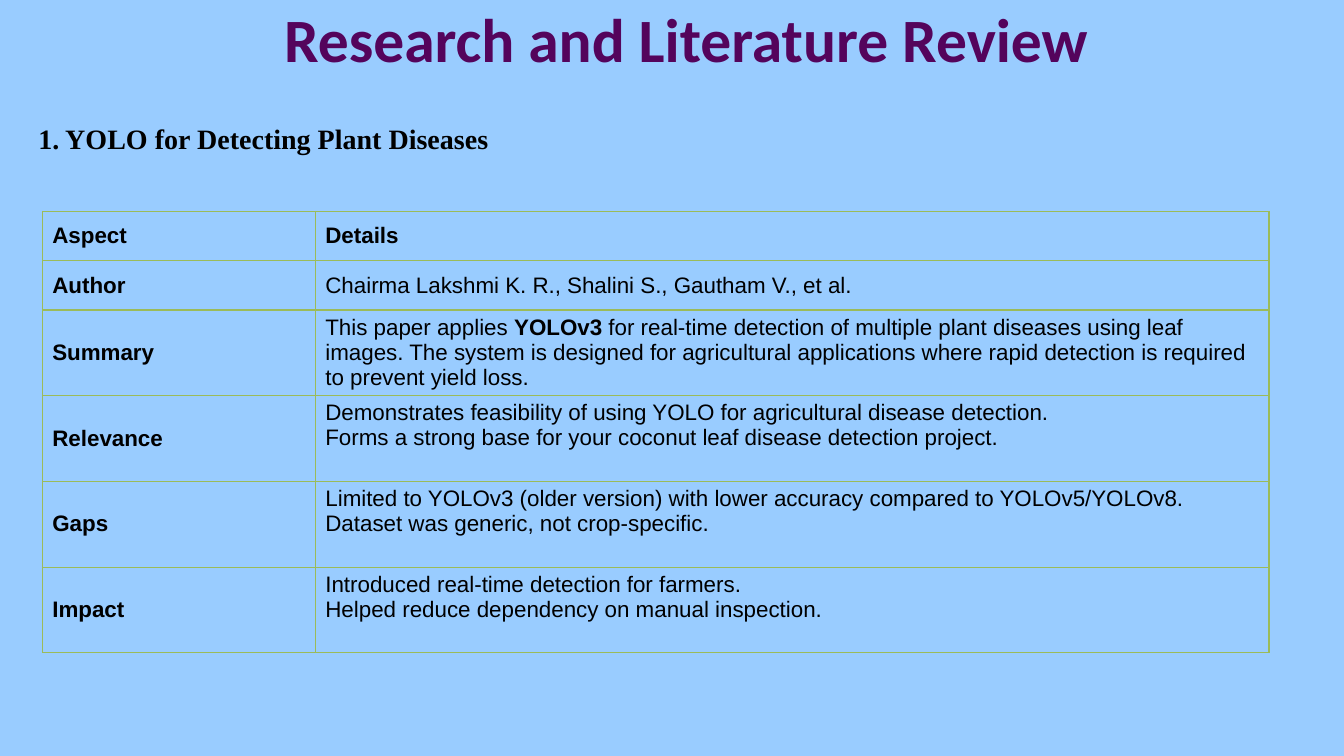
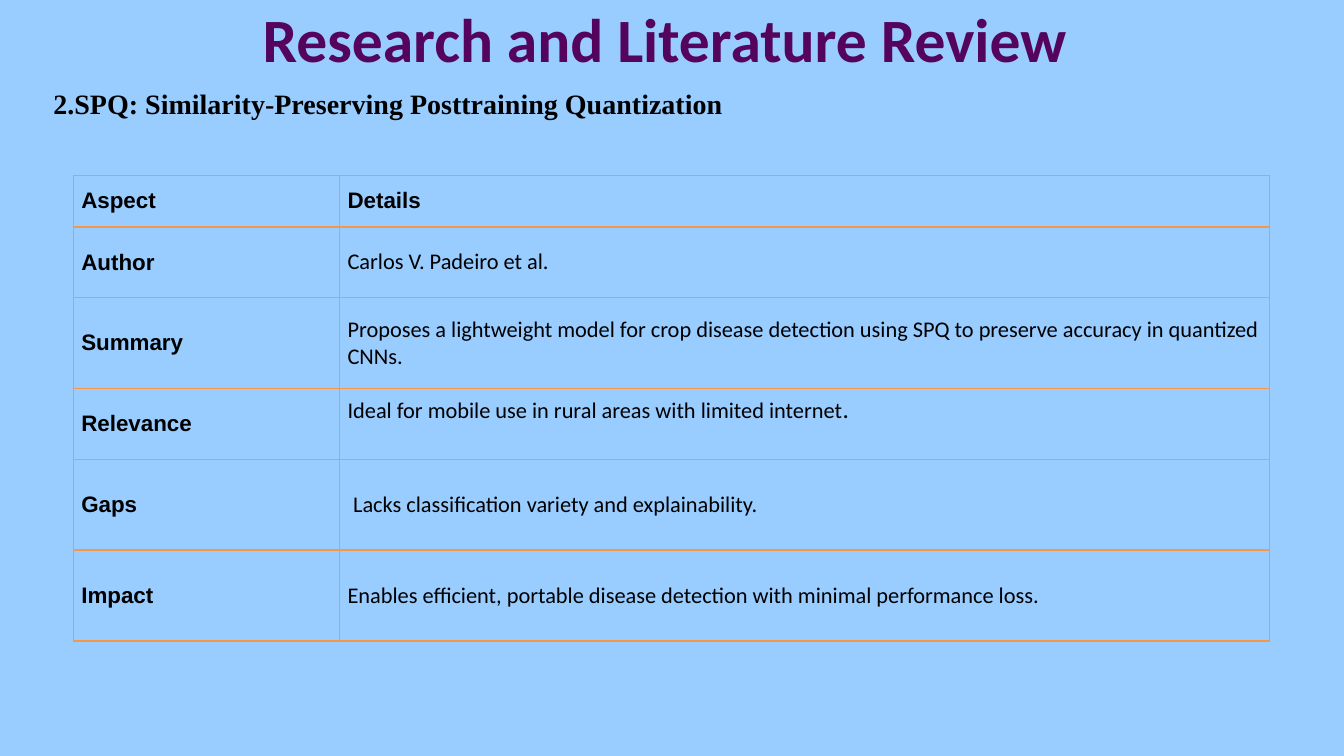
from pptx import Presentation
from pptx.dml.color import RGBColor as Rgb
from pptx.enum.text import MSO_ANCHOR as Anchor, MSO_AUTO_SIZE as Fit, PP_ALIGN as Align
from pptx.oxml import parse_xml
from pptx.oxml.ns import nsdecls
from pptx.util import Cm, Pt


class Theme:
    back = "99CCFF"
    title = dict(name="Calibri", size=44, color="54045C", bold=True)
    topic = dict(name="Times New Roman", size=20, color="000000", bold=True)
    label = dict(name="Arial", size=16, color="000000", bold=True)
    value = dict(label, bold=False)
    edge = 1


TITLE = "Research and Literature Review"
HEAD = ("Aspect", "Details")

# A value is a list of paragraphs; a paragraph is a text or a list of (text, format) runs.
# All lengths are in centimetres.
REVIEWS = [
    dict(
        topic="1. YOLO for Detecting Plant Diseases",
        rows=[
            ("Author", ["Chairma Lakshmi K. R., Shalini S., Gautham V., et al."]),
            ("Summary", [[
                ("This paper applies ", {}),
                ("YOLOv3", dict(bold=True)),
                (" for real-time detection of multiple plant diseases using leaf images. "
                 "The system is designed for agricultural applications where rapid "
                 "detection is required to prevent yield loss.", {}),
            ]]),
            ("Relevance", [
                "Demonstrates feasibility of using YOLO for agricultural disease detection.",
                "Forms a strong base for your coconut leaf disease detection project.",
            ]),
            ("Gaps", [
                "Limited to YOLOv3 (older version) with lower accuracy compared to YOLOv5/YOLOv8.",
                "Dataset was generic, not crop-specific.",
            ]),
            ("Impact", [
                "Introduced real-time detection for farmers.",
                "Helped reduce dependency on manual inspection.",
            ]),
        ],
        title_box=(2.06, -0.64, 30.48, 3.18),
        topic_box=(0.71, 1.45, 30.48, 16.13),
        topic_drop=1.6,
        spot=(1.07, 5.33),
        cols=(6.88, 24.03),
        heights=(1.24, 1.24, 2.16, 2.16, 2.16, 2.16),
        pad=(0.25, 0.13),
        edge="9BBB59",
        font="Arial",
        cells={name: dict(vertical_anchor=Anchor.TOP)
               for name in ("Relevance", "Gaps", "Impact")},
    ),
    dict(
        topic="2.SPQ: Similarity-Preserving Posttraining Quantization",
        rows=[
            ("Author", ["Carlos V. Padeiro et al."]),
            ("Summary", ["Proposes a lightweight model for crop disease detection using SPQ "
                         "to preserve accuracy in quantized CNNs."]),
            ("Relevance", [[
                ("Ideal for mobile use in rural areas with limited internet", {}),
                (".", dict(size=18)),
            ]]),
            ("Gaps", ["Lacks classification variety and explainability."]),
            ("Impact", ["Enables efficient, portable disease detection with minimal "
                        "performance loss."]),
        ],
        title_box=(1.52, -0.64, 30.48, 3.18),
        topic_box=(1.09, 2.06, 30.48, 12.57),
        topic_drop=0.13,
        spot=(1.85, 4.42),
        cols=(6.71, 23.44),
        heights=(1.3, 1.78, 2.29, 1.78, 2.29, 2.29),
        pad=(0.2, 0.1),
        edge="F79646",
        font="Calibri",
        cells={"Relevance": dict(vertical_anchor=Anchor.TOP, margin_top=Cm(0.15)),
               "Gaps": dict(margin_left=Cm(0.34))},
    ),
]


def assign(item, values):
    for key, value in values.items():
        setattr(item, key, value)


def write(para, runs, style):
    if isinstance(runs, str):
        runs = [(runs, {})]
    for text, extra in runs:
        run = para.add_run()
        run.text = text
        look = {**style, **extra}
        run.font.color.rgb = Rgb.from_string(look.pop("color"))
        assign(run.font, dict(look, size=Pt(look["size"])))


def fill_holder(shape, box, text, style, align, **frame):
    """Move a placeholder and give it one plain, unbulleted line."""
    sides = ("left", "top", "width", "height")
    assign(shape, {side: Cm(n) for side, n in zip(sides, box)})
    assign(shape.text_frame, dict(word_wrap=True, auto_size=Fit.NONE, **frame))
    para = shape.text_frame.paragraphs[0]
    props = para._p.get_or_add_pPr()
    props.set("marL", "0")
    props.set("indent", "0")
    props.append(parse_xml(f"<a:buNone {nsdecls('a')}/>"))
    assign(para, dict(alignment=align, space_before=Pt(0)))
    write(para, text, style)


def outline(cell, color):
    props = cell._tc.get_or_add_tcPr()
    for side in "LRTB":
        props.append(parse_xml(
            f'<a:ln{side} {nsdecls("a")} w="{Pt(Theme.edge)}"><a:solidFill>'
            f'<a:srgbClr val="{color}"/></a:solidFill></a:ln{side}>'))
    cell.fill.background()


def fill_cell(cell, paras, style, review, extra):
    outline(cell, review["edge"])
    wide, high = map(Cm, review["pad"])
    assign(cell, dict(vertical_anchor=Anchor.MIDDLE, margin_left=wide, margin_right=wide,
                      margin_top=high, margin_bottom=high) | extra)
    frame = cell.text_frame
    for i, runs in enumerate(paras):
        write(frame.add_paragraph() if i else frame.paragraphs[0], runs, style)


def add_grid(slide, review):
    cols, heights = review["cols"], review["heights"]
    size = (*review["spot"], sum(cols), sum(heights))
    grid = slide.shapes.add_table(len(heights), len(cols), *map(Cm, size)).table
    assign(grid, dict(first_row=False, horz_banding=False))
    for col, width in zip(grid.columns, cols):
        col.width = Cm(width)
    for row, height in zip(grid.rows, heights):
        row.height = Cm(height)

    value = dict(Theme.value, name=review["font"])
    lines = [(HEAD[0], [HEAD[1]], Theme.label)]
    lines += [(name, paras, value) for name, paras in review["rows"]]
    for i, (name, paras, style) in enumerate(lines):
        fill_cell(grid.cell(i, 0), [name], Theme.label, review, {})
        fill_cell(grid.cell(i, 1), paras, style, review, review["cells"].get(name, {}))


def main():
    deck = Presentation()
    assign(deck, dict(slide_width=Cm(33.87), slide_height=Cm(19.05)))
    back = deck.slide_master.background.fill
    back.solid()
    back.fore_color.rgb = Rgb.from_string(Theme.back)
    for review in REVIEWS:
        slide = deck.slides.add_slide(deck.slide_layouts[1])
        title, body = slide.placeholders
        fill_holder(title, review["title_box"], TITLE, Theme.title, Align.CENTER,
                    vertical_anchor=Anchor.MIDDLE)
        fill_holder(body, review["topic_box"], review["topic"], Theme.topic, Align.LEFT,
                    vertical_anchor=Anchor.TOP, margin_top=Cm(review["topic_drop"]))
        add_grid(slide, review)
    deck.save("out.pptx")


if __name__ == "__main__":
    main()
